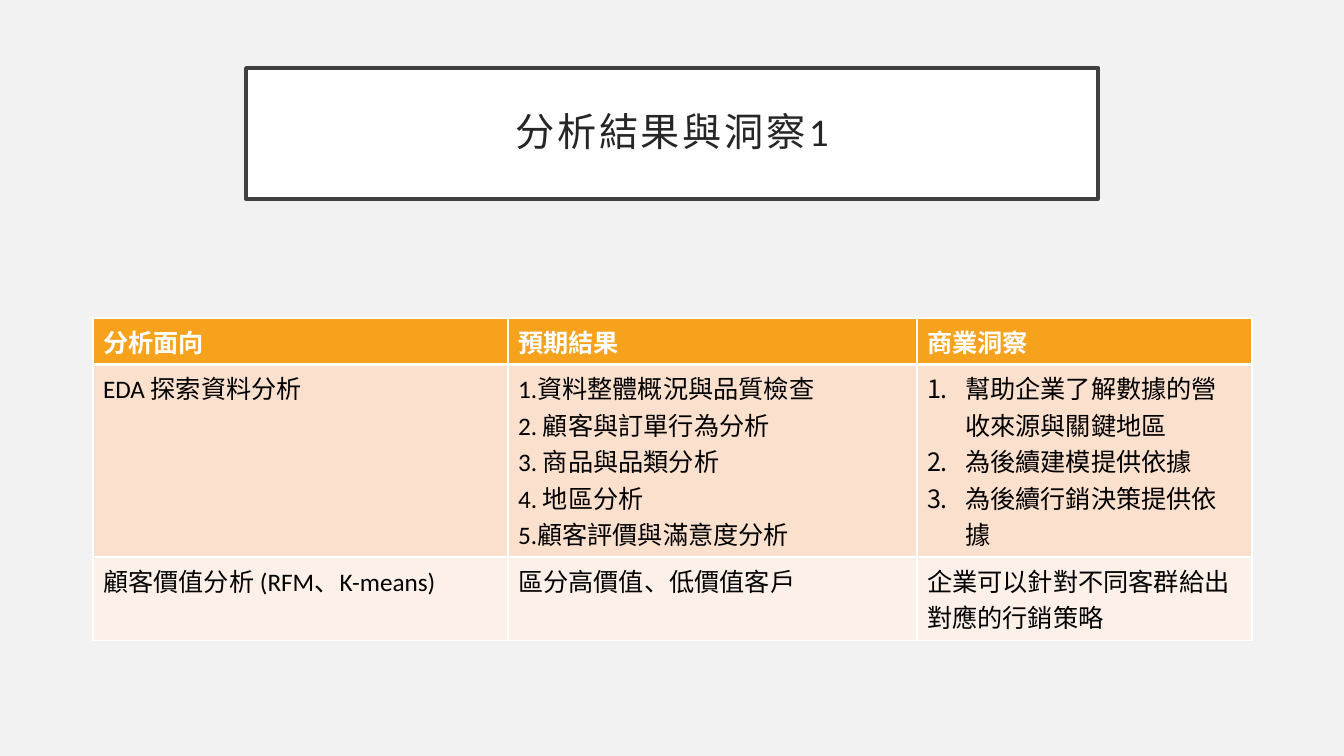
from lxml.etree import SubElement
from pptx import Presentation
from pptx.dml.color import RGBColor
from pptx.enum.text import MSO_ANCHOR, MSO_AUTO_SIZE, PP_ALIGN
from pptx.oxml.ns import qn
from pptx.util import Emu, Pt

SLIDE_W, SLIDE_H = 1344, 756
SCALE = 12192000 / SLIDE_W
INDENT = 38
COLUMNS = [415, 409, 335]
ROW_HEIGHTS = [41, 175, 41]
ROW_FILLS = ["F6A21D", "FBE0CD", "FDF0E8"]
ROWS = [
    [["分析面向"], ["預期結果"], ["商業洞察"]],
    [
        ["EDA 探索資料分析"],
        ["1.資料整體概況與品質檢查", "2. 顧客與訂單行為分析", "3. 商品與品類分析",
         "4. 地區分析", "5.顧客評價與滿意度分析"],
        ["幫助企業了解數據的營收來源與關鍵地區", "為後續建模提供依據",
         "為後續行銷決策提供依據"],
    ],
    [["顧客價值分析 (RFM、K-means)"], ["區分高價值、低價值客戶"],
     ["企業可以針對不同客群給出對應的行銷策略"]],
]


def px(n):
    """Turn pixels into EMU."""
    return Emu(round(n * SCALE))


def rgb(value):
    """Turn a hex string into a colour."""
    return RGBColor.from_string(value)


def set_fill(obj, color):
    """Give a shape, cell or background a solid fill."""
    obj.fill.solid()
    obj.fill.fore_color.rgb = rgb(color)


def number(p):
    """Number a paragraph automatically with a hanging indent."""
    pPr = p._p.get_or_add_pPr()
    pPr.set("marL", str(px(INDENT)))
    pPr.set("indent", str(-px(INDENT)))
    SubElement(pPr, qn("a:buFont"), typeface="+mj-lt")
    SubElement(pPr, qn("a:buAutoNum"), type="arabicPeriod")


def write(tf, lines, size=18, color="000000", bold=False, align=None,
          line_spacing=None, tracking=0, numbered=False):
    """Write one formatted paragraph per line."""
    for i, line in enumerate(lines):
        p = tf.add_paragraph() if i else tf.paragraphs[0]
        if numbered:
            number(p)
        p.alignment = align
        p.line_spacing = line_spacing
        r = p.add_run()
        r.text = line
        r.font.name = "Calibri"
        r.font.size = Pt(size)
        r.font.bold = bold
        r.font.color.rgb = rgb(color)
        if tracking:
            r._r.get_or_add_rPr().set("spc", str(tracking * 100))


def set_borders(cell, top, bottom):
    """Draw white cell borders with the given top and bottom widths."""
    tcPr = cell._tc.get_or_add_tcPr()
    for side, width in (("L", 1), ("R", 1), ("T", top), ("B", bottom)):
        ln = SubElement(tcPr, qn(f"a:ln{side}"), w=str(Pt(width)))
        SubElement(SubElement(ln, qn("a:solidFill")), qn("a:srgbClr"), val="FFFFFF")


def add_title(s, text):
    """Place the framed title."""
    sp = s.shapes.title
    sp.left, sp.top, sp.width, sp.height = px(246), px(68), px(852), px(131)
    set_fill(sp, "FFFFFF")
    sp.line.color.rgb = rgb("404040")
    sp.line.width = Pt(2.5)
    tf = sp.text_frame
    tf.auto_size = MSO_AUTO_SIZE.NONE
    tf.word_wrap = True
    tf.vertical_anchor = MSO_ANCHOR.MIDDLE
    tf.margin_left = tf.margin_right = tf.margin_top = tf.margin_bottom = px(20)
    write(tf, [text], size=28, color="262626", align=PP_ALIGN.CENTER,
          line_spacing=0.9, tracking=2)


def add_results(s):
    """Place the table of results and insights."""
    table = s.shapes.add_table(len(ROWS), len(COLUMNS), px(93), px(318),
                               px(sum(COLUMNS)), px(sum(ROW_HEIGHTS))).table
    for column, width in zip(table.columns, COLUMNS):
        column.width = px(width)
    for i, row in enumerate(ROWS):
        table.rows[i].height = px(ROW_HEIGHTS[i])
        header = i == 0
        for j, lines in enumerate(row):
            cell = table.cell(i, j)
            set_borders(cell, top=3 if i == 1 else 1, bottom=3 if header else 1)
            set_fill(cell, ROW_FILLS[i])
            write(cell.text_frame, lines, bold=header,
                  color="FFFFFF" if header else "000000",
                  numbered=j == 2 and len(lines) > 1)


def main():
    """Build and save the slide."""
    prs = Presentation()
    prs.slide_width, prs.slide_height = px(SLIDE_W), px(SLIDE_H)
    s = prs.slides.add_slide(prs.slide_layouts[5])
    set_fill(s.background, "F2F2F2")
    add_title(s, "分析結果與洞察1")
    add_results(s)
    prs.save("out.pptx")


if __name__ == "__main__":
    main()
